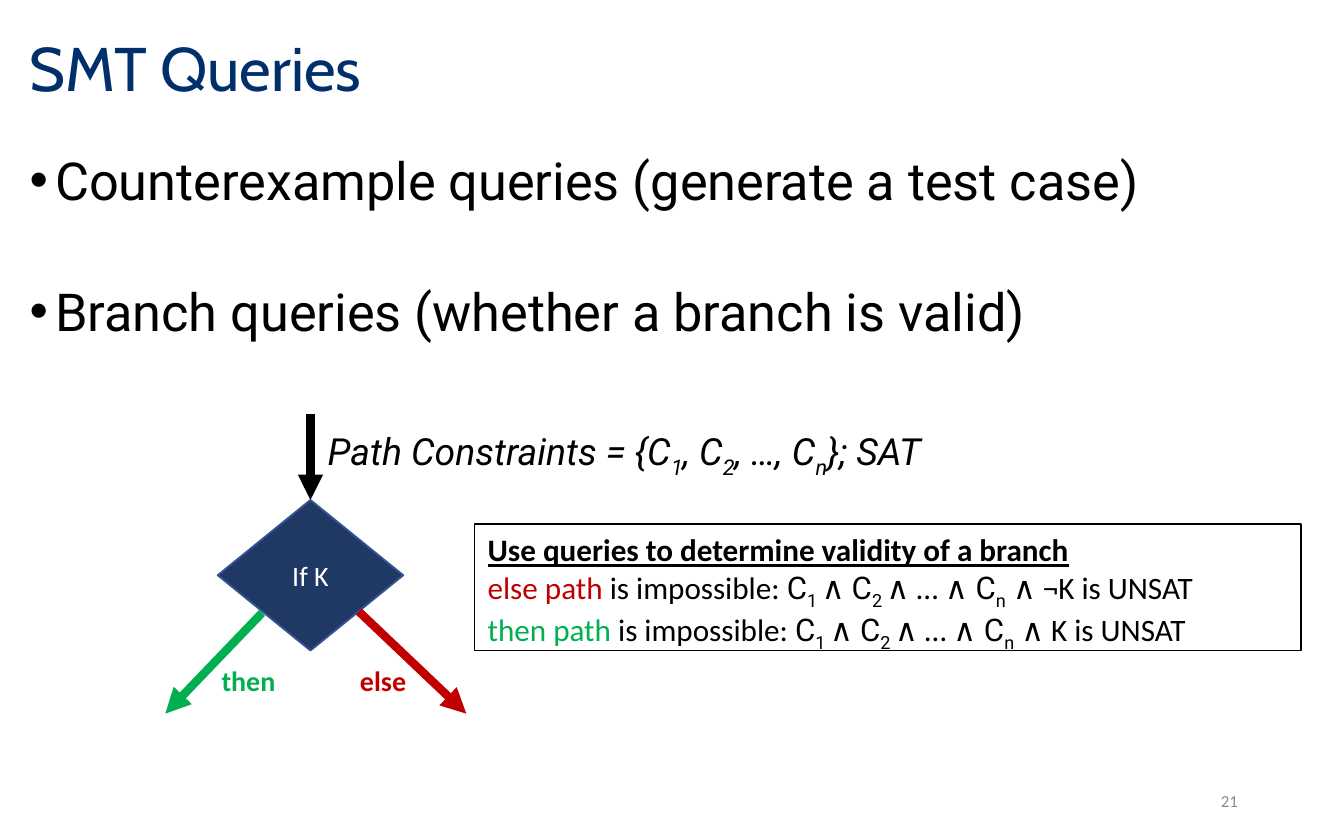
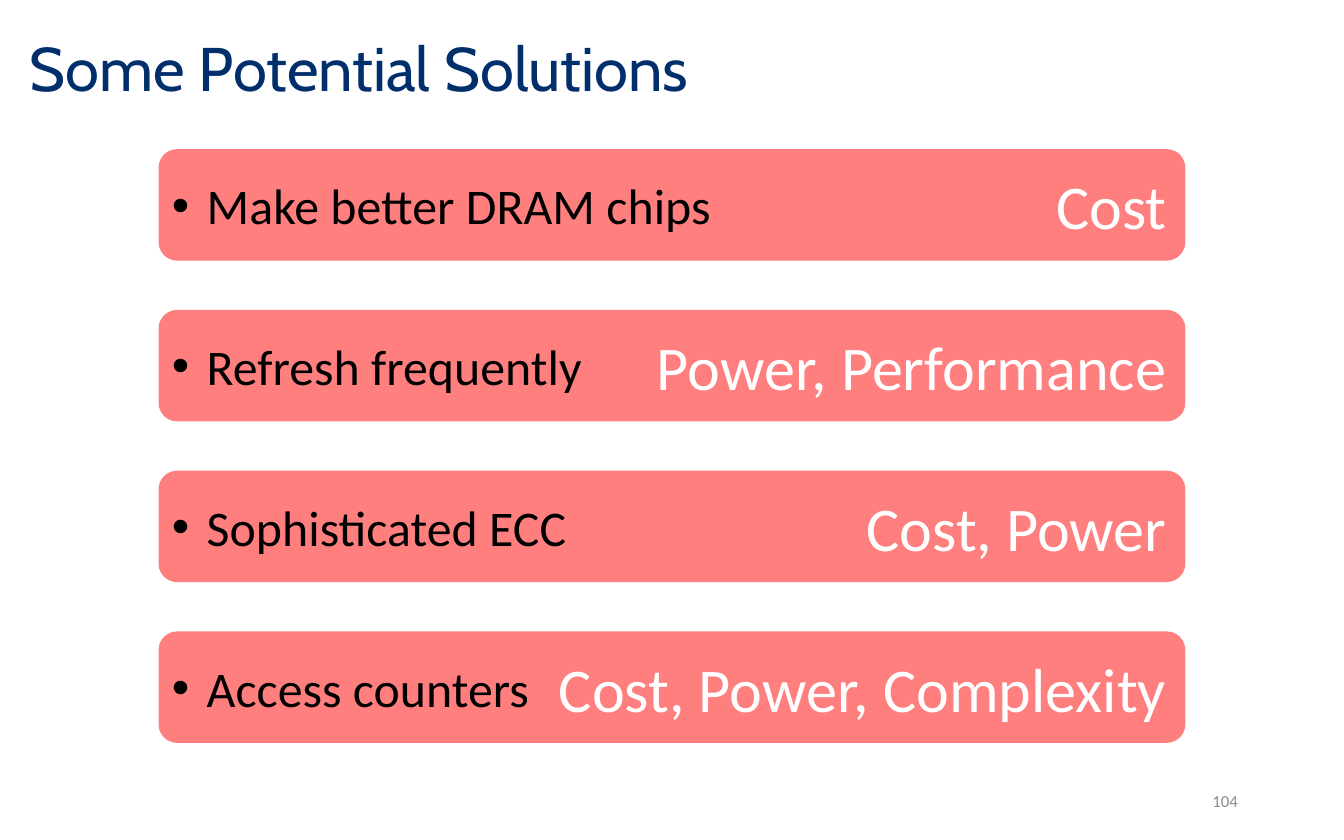
from lxml import etree
from pptx import Presentation
from pptx.dml.color import RGBColor
from pptx.enum.shapes import MSO_CONNECTOR, MSO_SHAPE
from pptx.enum.text import MSO_ANCHOR, MSO_AUTO_SIZE, PP_ALIGN
from pptx.oxml.ns import qn
from pptx.util import Inches, Pt

STRAIGHT = MSO_CONNECTOR.STRAIGHT
DIAMOND, RECTANGLE = MSO_SHAPE.DIAMOND, MSO_SHAPE.RECTANGLE
ROUNDED = MSO_SHAPE.ROUNDED_RECTANGLE
LEFT, CENTER, RIGHT = PP_ALIGN.LEFT, PP_ALIGN.CENTER, PP_ALIGN.RIGHT
TOP, MIDDLE = MSO_ANCHOR.TOP, MSO_ANCHOR.MIDDLE
NO_AUTOFIT = MSO_AUTO_SIZE.NONE

NAVY = RGBColor(0x00, 0x2F, 0x6C)
BLACK = RGBColor(0x00, 0x00, 0x00)
WHITE = RGBColor(0xFF, 0xFF, 0xFF)
GRAY = RGBColor(0x8C, 0x8C, 0x8C)
GREEN = RGBColor(0x00, 0xB0, 0x50)
RED = RGBColor(0xC0, 0x00, 0x00)
BAR_RED = RGBColor(0xFF, 0x00, 0x00)
NODE_FILL = RGBColor(0x20, 0x38, 0x64)
NODE_LINE = RGBColor(0x32, 0x54, 0x91)

TITLE_ONLY, TITLE_AND_BODY = 5, 1

# Text formats
TITLE = {"name": "Cabin", "size": Pt(33), "color": NAVY}
BODY = {"name": "Roboto", "size": Pt(28), "color": BLACK}
NUMBER = {"name": "Calibri", "size": Pt(9), "color": GRAY}
NODE = {"name": "Calibri", "size": Pt(15), "color": WHITE}
CONSTRAINT = {"name": "Roboto", "size": Pt(20), "color": BLACK, "italic": True}
RULE = {"name": "Calibri", "size": Pt(16.7), "color": BLACK}
SOLUTION = {"name": "Calibri", "size": Pt(26.7), "color": BLACK}
DRAWBACK = {"name": "Calibri", "size": Pt(33.3), "color": WHITE}
SUBSCRIPT = {"baseline": -25000}
SYMBOL = {"name": "Roboto"}
SYMBOL_INDEX = {**SYMBOL, **SUBSCRIPT}


def format_run(run, values):
    for name, value in values.items():
        if name == "color":
            run.font.color.rgb = value
        elif name == "baseline":
            run.font.size = run.font.size
            run._r.get_or_add_rPr().set("baseline", str(value))
        else:
            setattr(run.font, name, value)


def add_runs(paragraph, runs, base):
    """Add (text, changes) pairs, each formatted as base plus its changes."""
    for text, changes in runs:
        run = paragraph.add_run()
        run.text = text
        format_run(run, {**base, **changes})


def write_text(shape, lines, base, align=LEFT, anchor=TOP):
    """Fill a shape with lines of runs and return its paragraphs."""
    frame = shape.text_frame
    frame.word_wrap = True
    frame.auto_size = NO_AUTOFIT
    frame.vertical_anchor = anchor
    for index, runs in enumerate(lines):
        paragraph = frame.add_paragraph() if index else frame.paragraphs[0]
        paragraph.alignment = align
        paragraph.space_before = Pt(0)
        add_runs(paragraph, runs, base)
    return frame.paragraphs


def add_bullet(paragraph, indent):
    properties = paragraph._p.get_or_add_pPr()
    properties.set("marL", str(Inches(indent)))
    properties.set("indent", str(-Inches(indent)))
    font = etree.SubElement(properties, qn("a:buFont"))
    font.set("typeface", "Arial")
    etree.SubElement(properties, qn("a:buChar")).set("char", "•")


def place(shape, left, top, width, height):
    shape.left, shape.top = Inches(left), Inches(top)
    shape.width, shape.height = Inches(width), Inches(height)


def add_text(slide, box, lines, base, align=LEFT, anchor=TOP):
    text_box = slide.shapes.add_textbox(*map(Inches, box))
    return write_text(text_box, lines, base, align, anchor)


def add_block(slide, kind, box, fill=None, line=None, line_width=1):
    shape = slide.shapes.add_shape(kind, *map(Inches, box))
    shape.shadow.inherit = False
    if fill is None:
        shape.fill.background()
    else:
        shape.fill.solid()
        shape.fill.fore_color.rgb = fill
    if line is None:
        shape.line.fill.background()
    else:
        shape.line.color.rgb = line
        shape.line.width = Pt(line_width)
    return shape


def set_opacity(shape, percent):
    color = shape._element.spPr.find(qn("a:solidFill"))[0]
    etree.SubElement(color, qn("a:alpha")).set("val", str(percent * 1000))


def add_arrow(slide, start, end, color):
    arrow = slide.shapes.add_connector(STRAIGHT, *map(Inches, start + end))
    arrow.line.color.rgb = color
    arrow.line.width = Pt(4.5)
    line = arrow.line._get_or_add_ln()
    etree.SubElement(line, qn("a:tailEnd")).set("type", "triangle")
    etree.SubElement(arrow._element.spPr, qn("a:effectLst"))


def add_slide(presentation, layout, title, number):
    """Start a slide with the shared title style and slide number."""
    slide = presentation.slides.add_slide(presentation.slide_layouts[layout])
    place(slide.shapes.title, 0.12, 0.1, 8.52, 0.86)
    paragraph = write_text(slide.shapes.title, [[(title, {})]], TITLE, anchor=MIDDLE)[0]
    paragraph.line_spacing = 0.9
    add_text(slide, (7.06, 5.79, 2.25, 0.33), [[(str(number), {})]], NUMBER, RIGHT, MIDDLE)
    return slide


def impossible_path(branch, color, condition):
    """Runs that state when a branch can never be taken."""
    return [
        (f"{branch} path ", {"color": color}), ("is impossible: ", {}),
        ("C", SYMBOL), ("1 ", SYMBOL_INDEX), ("∧ ", {}),
        ("C", SYMBOL), ("2 ", SYMBOL_INDEX), ("∧ … ∧", {}),
        (" C", SYMBOL), ("n", SYMBOL_INDEX), (f" ∧ {condition} is UNSAT", {}),
    ]


def add_queries_slide(presentation):
    slide = add_slide(presentation, TITLE_AND_BODY, "SMT Queries", 21)

    # Kinds of query
    body = slide.placeholders[1]
    place(body, 0.12, 1.05, 9.77, 4.58)
    queries = ["Counterexample queries (generate a test case)",
               "Branch queries (whether a branch is valid)"]
    paragraphs = write_text(body, [[(query, {})] for query in queries], BODY)
    for paragraph in paragraphs:
        add_bullet(paragraph, 0.19)
    paragraphs[1].space_before = Pt(36.5)

    # Branch diagram
    node = add_block(slide, DIAMOND, (1.62, 3.72, 1.38, 1.12), NODE_FILL, NODE_LINE)
    write_text(node, [[("If K", {})]], NODE, CENTER, MIDDLE)
    add_arrow(slide, (2.31, 3.08), (2.31, 3.72), BLACK)
    branches = [("then", GREEN, (1.95, 4.56), (1.23, 5.31), 1.55),
                ("else", RED, (2.67, 4.55), (3.47, 5.31), 2.58)]
    for label, color, start, end, left in branches:
        add_arrow(slide, start, end, color)
        add_text(slide, (left, 4.89, 0.69, 0.35),
                 [[(label, {"color": color, "bold": True})]], NODE)

    # Constraints that hold on entry
    constraints = [("Path Constraints = {C", {}), ("1", SUBSCRIPT), (", C", {}),
                   ("2", SUBSCRIPT), (", …, C", {}), ("n", SUBSCRIPT), ("}; SAT", {})]
    add_text(slide, (2.34, 3.14, 4.79, 0.44), [constraints], CONSTRAINT)

    # Validity rules
    rules = add_block(slide, RECTANGLE, (3.53, 3.9, 6.15, 0.94), line=BLACK, line_width=0.75)
    heading = ("Use queries to determine validity of a branch",
               {"bold": True, "underline": True})
    write_text(rules, [[heading], impossible_path("else", RED, "¬K"),
                       impossible_path("then", GREEN, "K")], RULE)


def add_solutions_slide(presentation):
    slide = add_slide(presentation, TITLE_ONLY, "Some Potential Solutions", 104)
    solutions = [("Make better DRAM chips", "Cost", 4.65),
                 ("Refresh frequently", "Power, Performance", 3.82),
                 ("Sophisticated ECC", "Cost, Power", 3.82),
                 ("Access counters", "Cost, Power, Complexity", 3.82)]
    left, first_top, pitch, height = 1.18, 1.11, 1.196, 0.83
    for row, (solution, drawback, width) in enumerate(solutions):
        top = first_top + row * pitch
        bar = add_block(slide, ROUNDED, (left, top, 7.64, height), BAR_RED)
        set_opacity(bar, 50)
        write_text(bar, [[(drawback, {})]], DRAWBACK, RIGHT, MIDDLE)
        paragraphs = add_text(slide, (left, top, width, height),
                              [[(solution, {})]], SOLUTION, anchor=MIDDLE)
        add_bullet(paragraphs[0], 0.26)


def main():
    presentation = Presentation()
    presentation.slide_width = Inches(10)
    presentation.slide_height = Inches(6.25)
    add_queries_slide(presentation)
    add_solutions_slide(presentation)
    presentation.save("out.pptx")


if __name__ == "__main__":
    main()
